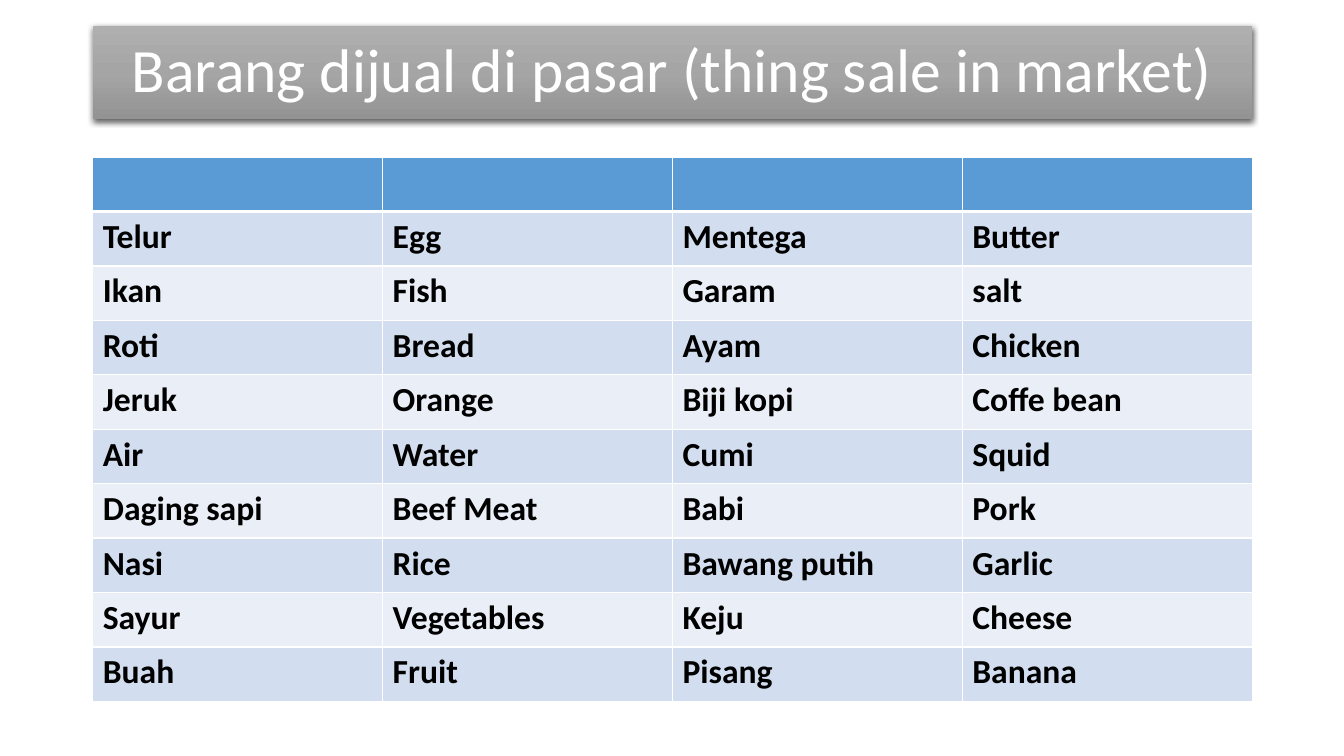
from dataclasses import dataclass

import lxml.etree
import pptx
import pptx.dml.color
import pptx.enum.text
import pptx.oxml
import pptx.oxml.ns
import pptx.util

Inches = pptx.util.Inches
Pt = pptx.util.Pt


@dataclass(frozen=True)
class Theme:
    font: str = "Calibri"
    title_size: int = 44
    cell_size: int = 24
    white: str = "FFFFFF"
    black: str = "000000"
    header: str = "5B9BD5"
    bands: tuple = ("D2DEEF", "EAEFF7")
    title_stops: tuple = ((0, "AFAFAF"), (50, "A5A5A5"), (100, "939393"))


THEME = Theme()
TITLE = "Barang dijual di pasar (thing sale in market)"
GOODS = [
    ("Telur", "Egg", "Mentega", "Butter"),
    ("Ikan", "Fish", "Garam", "salt"),
    ("Roti", "Bread", "Ayam", "Chicken"),
    ("Jeruk", "Orange", "Biji kopi", "Coffe bean"),
    ("Air", "Water", "Cumi", "Squid"),
    ("Daging sapi", "Beef Meat", "Babi", "Pork"),
    ("Nasi", "Rice", "Bawang putih", "Garlic"),
    ("Sayur", "Vegetables", "Keju", "Cheese"),
    ("Buah", "Fruit", "Pisang", "Banana"),
]
LEFT, WIDTH = 0.92, 11.5
ROW_HEIGHT = 0.54


def write_text(frame, text, *, size, color, bold=False, align=None, spacing=None):
    para = frame.paragraphs[0]
    para.alignment = align
    para.line_spacing = spacing
    span = para.add_run()
    span.text = text
    span.font.name = THEME.font
    span.font.size = Pt(size)
    span.font.bold = bold
    span.font.color.rgb = pptx.dml.color.RGBColor.from_string(color)


def append_xml(parent, markup):
    """Append DrawingML whose outer tag lacks its namespace declaration."""
    tag, rest = markup.split(">", 1)
    closing = "/" if tag.endswith("/") else ""
    declaration = pptx.oxml.ns.nsdecls("a")
    parent.append(pptx.oxml.parse_xml(f"{tag.rstrip('/')} {declaration}{closing}>{rest}"))


def add_title(page):
    title = page.shapes.title
    title.left, title.top = Inches(LEFT), Inches(0.26)
    title.width, title.height = Inches(WIDTH), Inches(0.92)
    stops = "".join(
        f'<a:gs pos="{place * 1000}"><a:srgbClr val="{color}"/></a:gs>'
        for place, color in THEME.title_stops
    )
    properties = title.element.spPr
    append_xml(properties, f'<a:gradFill rotWithShape="1"><a:gsLst>{stops}</a:gsLst>'
                           '<a:lin ang="5400000" scaled="0"/></a:gradFill>')
    append_xml(properties, f'<a:effectLst><a:outerShdw blurRad="{Pt(4.5)}" dist="{Pt(1.5)}" '
                           'dir="5400000" algn="ctr" rotWithShape="0">'
                           f'<a:srgbClr val="{THEME.black}"><a:alpha val="63000"/></a:srgbClr>'
                           '</a:outerShdw></a:effectLst>')
    frame = title.text_frame
    frame.word_wrap = True
    frame.auto_size = pptx.enum.text.MSO_AUTO_SIZE.NONE
    frame.vertical_anchor = pptx.enum.text.MSO_ANCHOR.MIDDLE
    write_text(frame, TITLE, size=THEME.title_size, color=THEME.white,
               align=pptx.enum.text.PP_ALIGN.CENTER, spacing=0.9)


def style_cell(cell, fill, bottom=1):
    """Give a cell white borders and a solid fill."""
    properties = cell._tc.get_or_add_tcPr()
    for side, width in (("L", 1), ("R", 1), ("T", 1), ("B", bottom)):
        append_xml(properties, f'<a:ln{side} w="{Pt(width)}"><a:solidFill>'
                               f'<a:srgbClr val="{THEME.white}"/></a:solidFill></a:ln{side}>')
    cell.fill.solid()
    cell.fill.fore_color.rgb = pptx.dml.color.RGBColor.from_string(fill)


def add_goods_table(page):
    row_count, column_count = len(GOODS) + 1, len(GOODS[0])
    table = page.shapes.add_table(
        row_count, column_count, Inches(LEFT), Inches(1.56),
        Inches(WIDTH), Inches(ROW_HEIGHT * row_count),
    ).table
    for row in table.rows:
        row.height = Inches(ROW_HEIGHT)
    for cell in table.rows[0].cells:
        style_cell(cell, THEME.header, bottom=3)
    for index, words in enumerate(GOODS):
        for cell, word in zip(table.rows[index + 1].cells, words):
            style_cell(cell, THEME.bands[index % 2])
            write_text(cell.text_frame, word, size=THEME.cell_size,
                       color=THEME.black, bold=True)


def main():
    deck = pptx.Presentation()
    deck.slide_width, deck.slide_height = Inches(13.33), Inches(7.5)
    page = deck.slides.add_slide(deck.slide_layouts.get_by_name("Title Only"))
    add_title(page)
    add_goods_table(page)
    deck.save("out.pptx")


if __name__ == "__main__":
    main()
